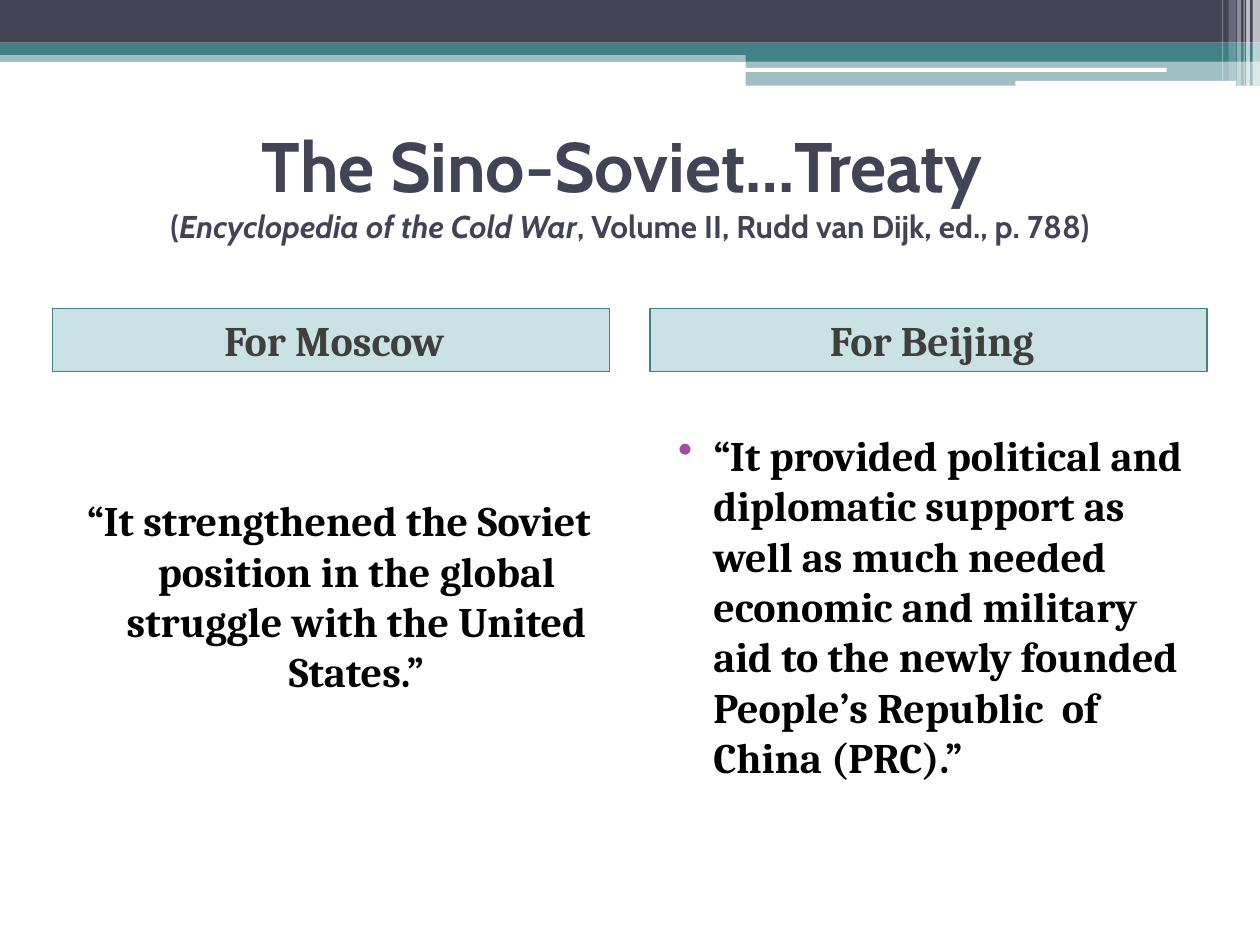
from lxml import etree
from pptx import Presentation
from pptx.dml.color import RGBColor
from pptx.enum.shapes import MSO_SHAPE
from pptx.enum.text import MSO_ANCHOR, PP_ALIGN
from pptx.oxml.ns import qn
from pptx.util import Cm, Pt

RECT, ROUNDED = MSO_SHAPE.RECTANGLE, MSO_SHAPE.ROUNDED_RECTANGLE
MIDDLE, TOP = MSO_ANCHOR.MIDDLE, MSO_ANCHOR.TOP
CENTER, LEFT = PP_ALIGN.CENTER, PP_ALIGN.LEFT

WHITE = RGBColor(0xFF, 0xFF, 0xFF)
BLACK = RGBColor(0, 0, 0)
NAVY = RGBColor(0x42, 0x44, 0x56)
TEAL = RGBColor(0x43, 0x80, 0x86)
AQUA = RGBColor(0x32, 0x8E, 0x97)
GREY = RGBColor(0x3F, 0x3F, 0x3F)
PURPLE = RGBColor(0xA0, 0x4D, 0xA3)

SLIDE_W, SLIDE_H = 25.4, 19.05
MARGIN, COLUMN_W = 1.06, 11.23
HEADING_TOP, HEADING_H = 6.22, 1.27
QUOTE_BOTTOM = 18.31


def style_font(font, color, **values):
    font.color.rgb = color
    for key, value in values.items():
        setattr(font, key, value)


def add_block(slide, box, color, opacity=100, kind=RECT):
    """Add a borderless shape; box is left, top, width, height in cm."""
    block = slide.shapes.add_shape(kind, *map(Cm, box))
    block.shadow.inherit = False
    block.fill.solid()
    block.fill.fore_color.rgb = color
    block.line.fill.background()
    if opacity < 100:
        clr = block.fill._xPr.find(".//" + qn("a:srgbClr"))
        etree.SubElement(clr, qn("a:alpha"), val=str(opacity * 1000))
    return block


def add_text_box(slide, box, anchor):
    frame = slide.shapes.add_textbox(*map(Cm, box)).text_frame
    frame.word_wrap = True
    frame.vertical_anchor = anchor
    return frame.paragraphs[0]


def set_indent(paragraph, left, first=0):
    props = paragraph._p.get_or_add_pPr()
    props.set("marL", str(Cm(left)))
    props.set("indent", str(Cm(first)))
    return props


def add_banner(slide, left, top, width):
    step = left + 15.03
    step_w = left + width - step
    for x, y, w, h, color, opacity in (
        (left, 1.02, width, 0.23, TEAL, 50),
        (left, 0, width, 0.86, NAVY, 100),
        (left, 0.86, width, 0.25, TEAL, 100),
        (step, 0.99, step_w, 0.25, TEAL, 100),
        (step, 1.23, step_w, 0.5, TEAL, 50),
    ):
        add_block(slide, (x, top + y, w, h), color, opacity)
    for x, y, w, h in ((15.01, 1.37, 8.51, 0.08), (20.47, 1.63, 4.45, 0.1)):
        add_block(slide, (left + x, top + y, w, h), WHITE, kind=ROUNDED)
    for x, w, h, opacity in (
        (25.25, 0.15, 1.73, 65),
        (25.12, 0.08, 1.73, 65),
        (25.07, 0.02, 1.73, 60),
        (24.94, 0.08, 1.73, 40),
        (24.77, 0.15, 1.63, 20),
        (24.64, 0.02, 1.63, 30),
    ):
        add_block(slide, (left + x, top, w, h), WHITE, opacity)


def add_title(slide, box):
    paragraph = add_text_box(slide, box, MIDDLE)
    paragraph.alignment = CENTER
    for text, size, italic in (
        ("The Sino-Soviet…Treaty ", 40, False),
        ("(", 18, False),
        ("Encyclopedia of the Cold War", 18, True),
        (", Volume II, Rudd van Dijk, ed., p. 788)", 18, False),
    ):
        run = paragraph.add_run()
        run.text = text
        style_font(run.font, NAVY, name="Cabin", size=Pt(size), bold=True, italic=italic)
        if size == 40:
            paragraph.add_line_break()


def add_heading(slide, box, text):
    panel = add_block(slide, box, AQUA, 25)
    panel.line.color.rgb = TEAL
    panel.line.width = Pt(1)
    frame = panel.text_frame
    frame.word_wrap = True
    frame.vertical_anchor = MIDDLE
    paragraph = frame.paragraphs[0]
    paragraph.alignment = CENTER
    set_indent(paragraph, 0.13)
    run = paragraph.add_run()
    run.text = text
    style_font(run.font, GREY, name="Cambria", size=Pt(24), bold=True)


def add_quote(slide, box, text, bulleted):
    paragraph = add_text_box(slide, box, TOP)
    paragraph.alignment = LEFT if bulleted else CENTER
    props = set_indent(paragraph, 1.02, -0.71)
    if bulleted:
        bullet_color = etree.SubElement(props, qn("a:buClr"))
        etree.SubElement(bullet_color, qn("a:srgbClr"), val=str(PURPLE))
        etree.SubElement(props, qn("a:buChar"), char="•")
    run = paragraph.add_run()
    run.text = text
    style_font(run.font, BLACK, name="Cambria", size=Pt(24), bold=True)


def add_column(slide, left, heading, quote, quote_top, bulleted):
    add_heading(slide, (left, HEADING_TOP, COLUMN_W, HEADING_H), heading)
    quote_box = (left, quote_top, COLUMN_W, QUOTE_BOTTOM - quote_top)
    add_quote(slide, quote_box, quote, bulleted)


def main():
    presentation = Presentation()
    presentation.slide_width = Cm(SLIDE_W)
    presentation.slide_height = Cm(SLIDE_H)
    slide = presentation.slides.add_slide(presentation.slide_layouts[6])
    add_banner(slide, 0, 0, SLIDE_W)
    add_title(slide, (MARGIN, 1.7, SLIDE_W - 2 * MARGIN, 4.01))
    add_column(
        slide, MARGIN, "For Moscow",
        "“It strengthened the Soviet position in the global struggle "
        "with the United States.”",
        9.85, bulleted=False,
    )
    add_column(
        slide, SLIDE_W - MARGIN - COLUMN_W, "For Beijing",
        "“It provided political and diplomatic support as well as much needed "
        "economic and military aid to the newly founded People’s Republic  of "
        "China (PRC).”",
        8.53, bulleted=True,
    )
    presentation.save("out.pptx")


if __name__ == "__main__":
    main()
